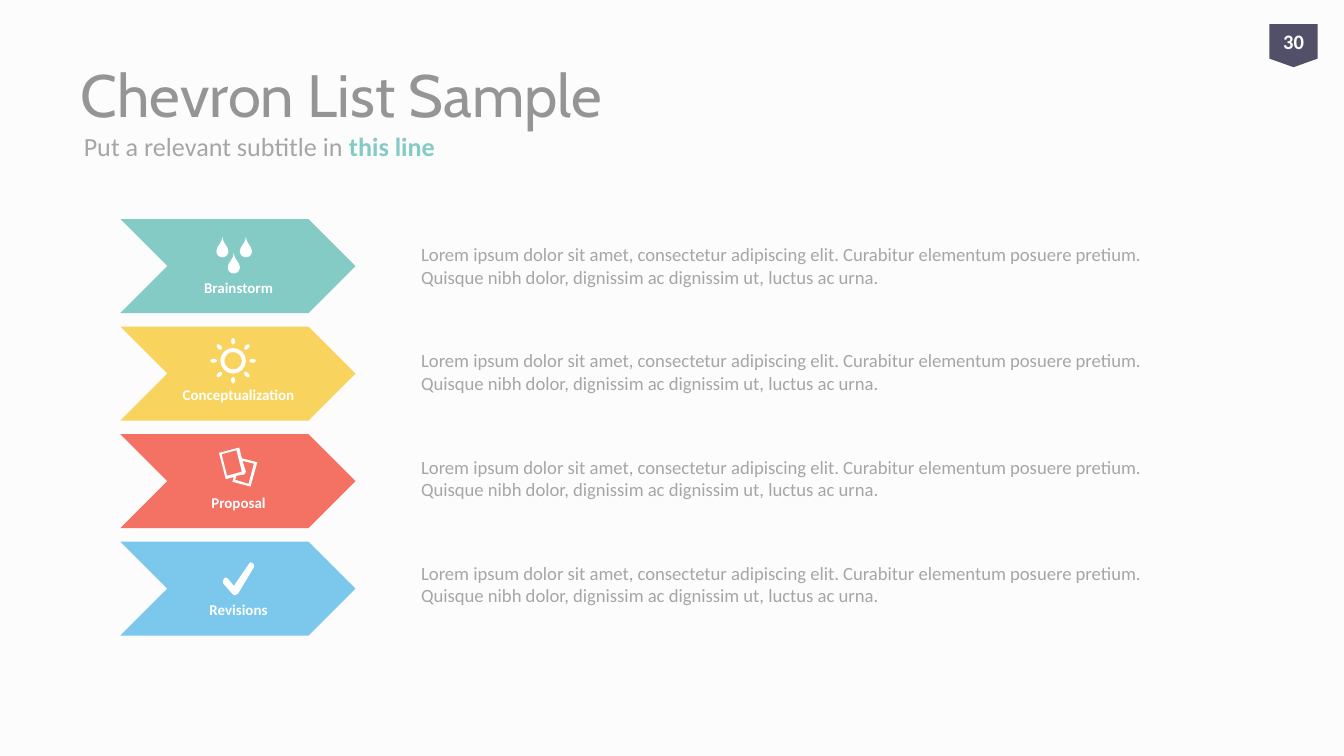
"""Build the chevron list slide with four labelled steps and their icons."""
from dataclasses import dataclass
from math import cos, pi, sin

from pptx import Presentation
from pptx.dml.color import RGBColor
from pptx.enum.shapes import MSO_SHAPE
from pptx.enum.text import MSO_ANCHOR, MSO_AUTO_SIZE, PP_ALIGN
from pptx.oxml.ns import qn
from pptx.util import Pt

PX = 4572


@dataclass(frozen=True)
class Theme:
    background: str = "FCFCFC"
    title: str = "959595"
    body: str = "A6A6A6"
    accent: str = "84CBC5"
    badge: str = "525068"
    white: str = "FFFFFF"
    title_font: str = "Cabin"
    body_font: str = "Calibri"
    title_size: int = 32
    subtitle_size: int = 14
    badge_size: int = 11
    body_size: int = 10
    label_size: int = 8


THEME = Theme()
TITLE = "Chevron List Sample"
SUBTITLE = [("Put a relevant subtitle in ", THEME.body, False), ("this line", THEME.accent, True)]
PAGE_NUMBER = "30"
DESCRIPTION = (
    "Lorem ipsum dolor sit amet, consectetur adipiscing elit. Curabitur elementum posuere pretium. "
    "Quisque nibh dolor, dignissim ac dignissim ut, luctus ac urna."
)
STEPS = [
    ("Brainstorm", "84CBC5"),
    ("Conceptualization", "F8D35E"),
    ("Proposal", "F47264"),
    ("Revisions", "7CC8EC"),
]
FIRST_TOP, CHEVRON_PITCH = 326, 160
FIRST_DESCRIPTION_TOP, DESCRIPTION_PITCH = 352, 158
DROP_TIPS = [(331, 352), (366, 352), (348, 376)]
DROP = [(0, 0), (-1, 12, -9, 14, -9, 22), (-9, 27, -5, 31, 0, 31),
        (5, 31, 9, 27, 9, 22), (9, 14, 1, 12, 0, 0)]
SUN_CENTER, RAY_COUNT, RAY_DISTANCE = (347, 537), 8, 29
QUARTER_HANDLE = 0.55
PAPERS = [
    [(326, 674), (356, 666), (360, 682), (383, 688), (373, 724), (346, 717), (348, 710), (336, 713)],
    [(330, 676), (352, 670), (360, 702), (338, 708)],
    [(370, 720), (350, 714), (352, 708), (364, 706), (366, 702), (361, 686), (378, 690)],
]
CHECK = [
    (350, 886), (348, 886, 346, 884, 346, 884), (332, 868), (331, 866, 332, 862, 334, 860),
    (336, 858, 338, 860, 340, 862), (348, 872), (370, 840), (370, 836, 374, 836, 376, 838),
    (378, 838, 379, 842, 378, 844), (354, 884), (352, 884, 350, 886, 350, 886),
]


def color(value):
    return RGBColor.from_string(value)


def box(left, top, width, height):
    return [value * PX for value in (left, top, width, height)]


def write(shape, runs, *, size, font=THEME.body_font, align=PP_ALIGN.LEFT,
          anchor=MSO_ANCHOR.MIDDLE, insets=(20, 10, 20, 10), wrap=True):
    frame = shape.text_frame
    frame.auto_size = MSO_AUTO_SIZE.NONE
    frame.word_wrap = wrap
    frame.vertical_anchor = anchor
    frame.margin_left, frame.margin_top, frame.margin_right, frame.margin_bottom = box(*insets)
    paragraph = frame.paragraphs[0]
    paragraph.alignment = align
    for text, fill, bold in runs:
        run = paragraph.add_run()
        run.text = text
        run.font.name = font
        run.font.size = Pt(size)
        run.font.bold = bold
        run.font.color.rgb = color(fill)


def paint(shape, fill):
    shape.shadow.inherit = False
    shape.fill.solid()
    shape.fill.fore_color.rgb = color(fill)
    shape.line.fill.background()
    return shape


def points_of(node):
    return list(zip(node[::2], node[1::2]))


def shift(outline, left, top):
    return [tuple(value + (left, top)[index % 2] for index, value in enumerate(node)) for node in outline]


def ellipse(center, radius_x, radius_y, turn=0):
    k = QUARTER_HANDLE
    unit = [(1, 0), (1, k, k, 1, 0, 1), (-k, 1, -1, k, -1, 0),
            (-1, -k, -k, -1, 0, -1), (k, -1, 1, -k, 1, 0)]
    outline = []
    for node in unit:
        values = []
        for x, y in points_of(node):
            values += [radius_x * x * cos(turn) - radius_y * y * sin(turn),
                       radius_x * x * sin(turn) + radius_y * y * cos(turn)]
        outline.append(tuple(values))
    return shift(outline, *center)


def sun():
    contours = [ellipse(SUN_CENTER, 19, 19), ellipse(SUN_CENTER, 13, 13)]
    for index in range(RAY_COUNT):
        turn = 2 * pi * index / RAY_COUNT
        center = (SUN_CENTER[0] + RAY_DISTANCE * cos(turn), SUN_CENTER[1] + RAY_DISTANCE * sin(turn))
        contours.append(ellipse(center, 5, 3, turn))
    return contours


def bend(shape, contours):
    path = shape.element.find(f".//{qn('a:path')}")
    lines = iter(path.findall(qn("a:lnTo")))
    for node in (node for contour in contours for node in contour[1:]):
        segment = next(lines)
        if len(node) == 6:
            segment.tag = qn("a:cubicBezTo")
            for extra in (next(lines), next(lines)):
                segment.append(extra[0])
                path.remove(extra)


def add_icon(slide, contours):
    builder = None
    for contour in contours:
        start, *rest = [(x * PX, y * PX) for node in contour for x, y in points_of(node)]
        if builder is None:
            builder = slide.shapes.build_freeform(*start, scale=1.0)
        else:
            builder.move_to(*start)
        builder.add_line_segments(rest, close=True)
    shape = paint(builder.convert_to_shape(), THEME.white)
    bend(shape, contours)


def add_step(slide, index, label, fill):
    top = FIRST_TOP + index * CHEVRON_PITCH
    paint(slide.shapes.add_shape(MSO_SHAPE.CHEVRON, *box(179, top, 350, 140)), fill)
    write(slide.shapes.add_textbox(*box(249, top, 210, 140)), [(label, THEME.white, True)],
          size=THEME.label_size, align=PP_ALIGN.CENTER, anchor=MSO_ANCHOR.BOTTOM, insets=(2, 2, 0, 25))
    description_top = FIRST_DESCRIPTION_TOP + index * DESCRIPTION_PITCH
    write(slide.shapes.add_textbox(*box(607, description_top, 1195, 92)),
          [(DESCRIPTION, THEME.body, False)], size=THEME.body_size, anchor=MSO_ANCHOR.TOP)


def main():
    presentation = Presentation()
    presentation.slide_width, presentation.slide_height = 2000 * PX, 1125 * PX
    slide = presentation.slides.add_slide(presentation.slide_layouts[5])
    slide.background.fill.solid()
    slide.background.fill.fore_color.rgb = color(THEME.background)

    title = slide.shapes.title
    title.left, title.top, title.width, title.height = box(100, 46, 1766, 188)
    write(title, [(TITLE, THEME.title, False)], size=THEME.title_size, font=THEME.title_font)
    write(slide.shapes.add_textbox(*box(105, 178, 694, 80)), SUBTITLE, size=THEME.subtitle_size)

    for index, (label, fill) in enumerate(STEPS):
        add_step(slide, index, label, fill)
    drops = [shift(DROP, *tip) for tip in DROP_TIPS]
    for contours in (drops, sun(), PAPERS, [CHECK]):
        add_icon(slide, contours)

    badge = slide.shapes.add_shape(MSO_SHAPE.FLOWCHART_OFFPAGE_CONNECTOR, *box(1889, 36, 72, 64))
    write(paint(badge, THEME.badge), [(PAGE_NUMBER, THEME.white, True)], size=THEME.badge_size,
          align=PP_ALIGN.CENTER, insets=(0, 0, 0, 0), wrap=False)
    presentation.save("out.pptx")


if __name__ == "__main__":
    main()
